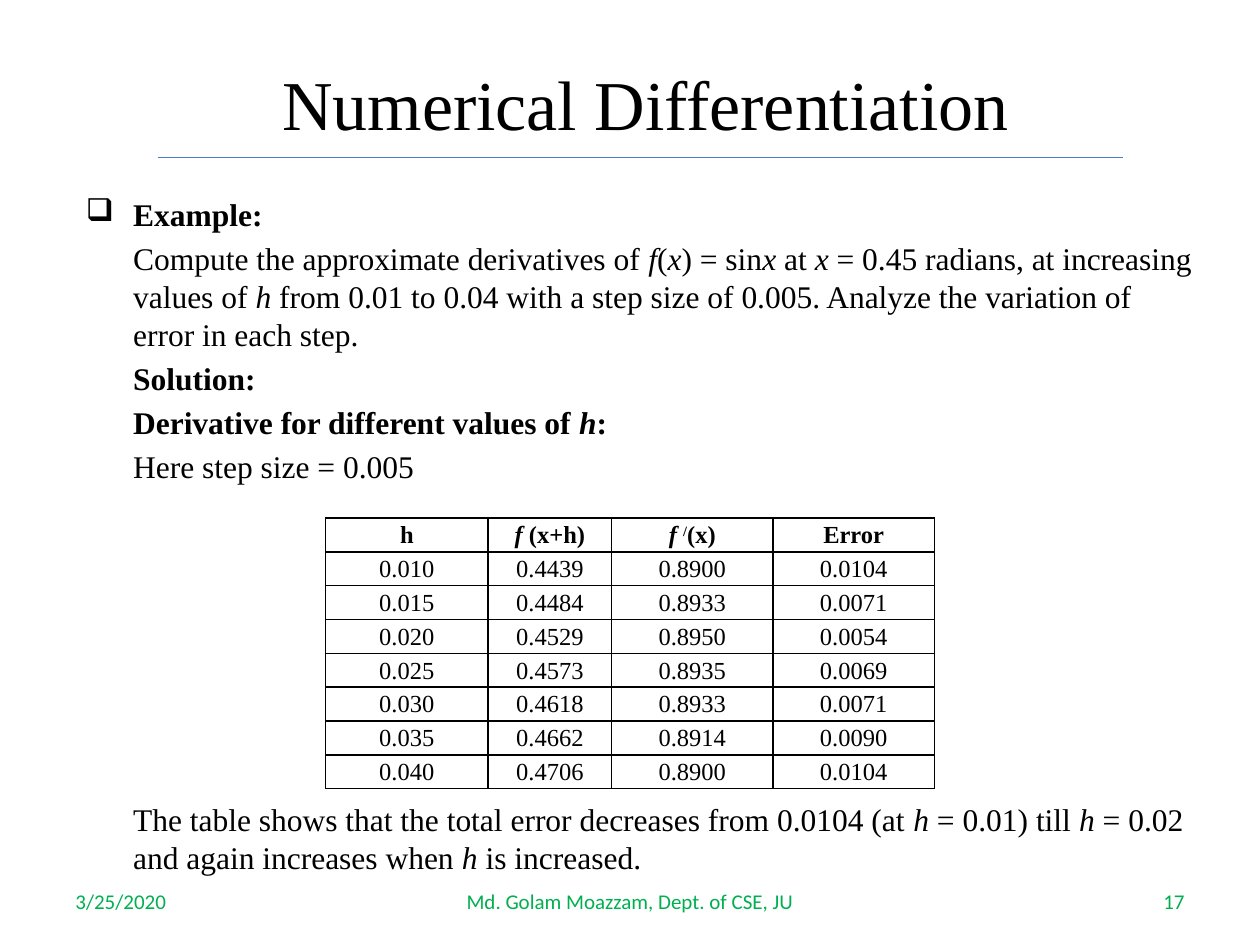
import dataclasses

import lxml.etree
import pptx
import pptx.dml.color
import pptx.enum.shapes
import pptx.enum.text
import pptx.oxml.ns
import pptx.util

Pt = pptx.util.Pt
ALIGN = pptx.enum.text.PP_ALIGN
MIDDLE = pptx.enum.text.MSO_ANCHOR.MIDDLE


@dataclasses.dataclass(frozen=True)
class Theme:
    """Colours, fonts and type sizes of the slide."""

    ink: str = "000000"
    footer: str = "00B050"
    rule: str = "4A7DBA"
    serif: str = "Times New Roman"
    sans: str = "Calibri"
    title_size: float = 40
    body_size: float = 18
    table_size: float = 14
    footer_size: float = 12


THEME = Theme()

PROBLEM = [
    ("Compute the approximate derivatives of ", ""), ("f", "i"), ("(", ""), ("x", "i"),
    (") = sin", ""), ("x", "i"), (" at ", ""), ("x", "i"),
    (" = 0.45 radians, at increasing values of ", ""), ("h", "i"),
    (" from 0.01 to 0.04 with a step size of 0.005. "
     "Analyze the variation of error in each step.", ""),
]
CONCLUSION = [
    ("The table shows that the total error decreases from 0.0104 (at ", ""), ("h", "i"),
    (" = 0.01) till ", ""), ("h", "i"),
    (" = 0.02 and again increases when ", ""), ("h", "i"), (" is increased.", ""),
]
HEADER = [
    [("h", "")],
    [("f", "i"), (" (x+h)", "")],
    [("f ", "i"), ("/", "s"), ("(x)", "")],
    [("Error", "")],
]
RESULTS = [
    ("0.010", "0.4439", "0.8900", "0.0104"),
    ("0.015", "0.4484", "0.8933", "0.0071"),
    ("0.020", "0.4529", "0.8950", "0.0054"),
    ("0.025", "0.4573", "0.8935", "0.0069"),
    ("0.030", "0.4618", "0.8933", "0.0071"),
    ("0.035", "0.4662", "0.8914", "0.0090"),
    ("0.040", "0.4706", "0.8900", "0.0104"),
]


def rgb(value):
    """Return a colour object for a hex string."""
    return pptx.dml.color.RGBColor.from_string(value)


def add_xml(parent, tag, **attributes):
    """Append a DrawingML child element."""
    return lxml.etree.SubElement(parent, pptx.oxml.ns.qn(tag), attributes)


def write(paragraph, parts, size, color=THEME.ink, font=THEME.serif,
          bold=False, align=ALIGN.LEFT):
    """Fill a paragraph with runs marked plain, italic (i) or superscript (s)."""
    paragraph.alignment = align
    paragraph.font.name = font
    paragraph.font.size = Pt(size)
    paragraph.font.bold = bold
    paragraph.font.color.rgb = rgb(color)
    for text, style in parts:
        run = paragraph.add_run()
        run.text = text
        if style == "i":
            run.font.italic = True
        elif style == "s":
            run.font._element.set("baseline", "30000")


def add_title(slide, text):
    """Place and format the title placeholder."""
    title = slide.shapes.title
    title.left, title.top, title.width, title.height = Pt(96), Pt(27), Pt(546), Pt(63)
    title.text_frame.vertical_anchor = MIDDLE
    write(title.text_frame.paragraphs[0], [(text, "")], THEME.title_size, align=ALIGN.CENTER)


def add_rule(slide):
    """Draw the line under the title."""
    rule = slide.shapes.add_connector(
        pptx.enum.shapes.MSO_CONNECTOR.STRAIGHT, Pt(90), Pt(90), Pt(642), Pt(90))
    rule.line.color.rgb = rgb(THEME.rule)
    rule.line.width = Pt(0.75)
    add_xml(rule._element.spPr, "a:effectLst")


def add_text_box(slide, left, top, width, height):
    """Add a wrapping text box and return its text frame."""
    frame = slide.shapes.add_textbox(Pt(left), Pt(top), Pt(width), Pt(height)).text_frame
    frame.word_wrap = True
    return frame


def add_body(slide):
    """Add the worked example, leaving room for the table."""
    frame = add_text_box(slide, 42, 108, 648, 408)
    content = [
        ([("Example:", "")], True, 0),
        (PROBLEM, False, 3.6),
        ([("Solution:", "")], True, 3.6),
        ([("Derivative for different values of ", ""), ("h", "i"), (":", "")], True, 3.6),
        ([("Here step size = 0.005", "")], False, 3.6),
        (CONCLUSION, False, 180),
    ]
    for index, (parts, bold, gap) in enumerate(content):
        paragraph = frame.add_paragraph() if index else frame.paragraphs[0]
        paragraph.space_before = Pt(gap)
        paragraph.line_spacing = Pt(21.6)
        properties = paragraph._p.get_or_add_pPr()
        properties.set("marL", str(Pt(27)))
        properties.set("indent", str(0 if index else -Pt(27)))
        if index == 0:
            add_xml(properties, "a:buChar", char="❑")
        write(paragraph, parts, THEME.body_size, bold=bold)


def add_borders(cell):
    """Give a cell a black border on every side."""
    properties = cell._tc.get_or_add_tcPr()
    for position, side in enumerate(("a:lnL", "a:lnR", "a:lnT", "a:lnB")):
        line = lxml.etree.Element(pptx.oxml.ns.qn(side), {"w": str(Pt(1))})
        add_xml(add_xml(line, "a:solidFill"), "a:srgbClr", val=THEME.ink)
        properties.insert(position, line)


def add_results_table(slide):
    """Add the table of derivatives and errors."""
    widths = (93, 70.5, 92.25, 92.25)
    row_height = 18.8
    rows = [HEADER] + [[[(value, "")] for value in row] for row in RESULTS]
    table = slide.shapes.add_table(
        len(rows), len(widths), Pt(186), Pt(296),
        Pt(sum(widths)), Pt(row_height * len(rows))).table
    table.first_row = table.horz_banding = False
    for column, width in zip(table.columns, widths):
        column.width = Pt(width)
    for row_index, row in enumerate(rows):
        table.rows[row_index].height = Pt(row_height)
        for column_index, parts in enumerate(row):
            cell = table.cell(row_index, column_index)
            cell.margin_left = cell.margin_right = Pt(5.4)
            cell.margin_top = cell.margin_bottom = 0
            cell.fill.background()
            add_borders(cell)
            paragraph = cell.text_frame.paragraphs[0]
            paragraph.line_spacing = 1.15
            write(paragraph, parts, THEME.table_size, bold=row_index == 0, align=ALIGN.CENTER)


def add_footer(slide, text, left, width, align):
    """Add one item of the footer line."""
    frame = add_text_box(slide, left, 500.5, width, 28.75)
    frame.vertical_anchor = MIDDLE
    write(frame.paragraphs[0], [(text, "")], THEME.footer_size,
          THEME.footer, THEME.sans, align=align)


def main():
    """Build and save the slide."""
    presentation = pptx.Presentation()
    presentation.slide_width, presentation.slide_height = Pt(720), Pt(540)
    slide = presentation.slides.add_slide(presentation.slide_layouts.get_by_name("Title Only"))
    add_title(slide, "Numerical Differentiation")
    add_body(slide)
    add_footer(slide, "3/25/2020", 36, 168, ALIGN.LEFT)
    add_footer(slide, "17", 516, 168, ALIGN.RIGHT)
    add_footer(slide, "Md. Golam Moazzam, Dept. of CSE, JU", 246, 228, ALIGN.CENTER)
    add_rule(slide)
    add_results_table(slide)
    presentation.save("out.pptx")


if __name__ == "__main__":
    main()
